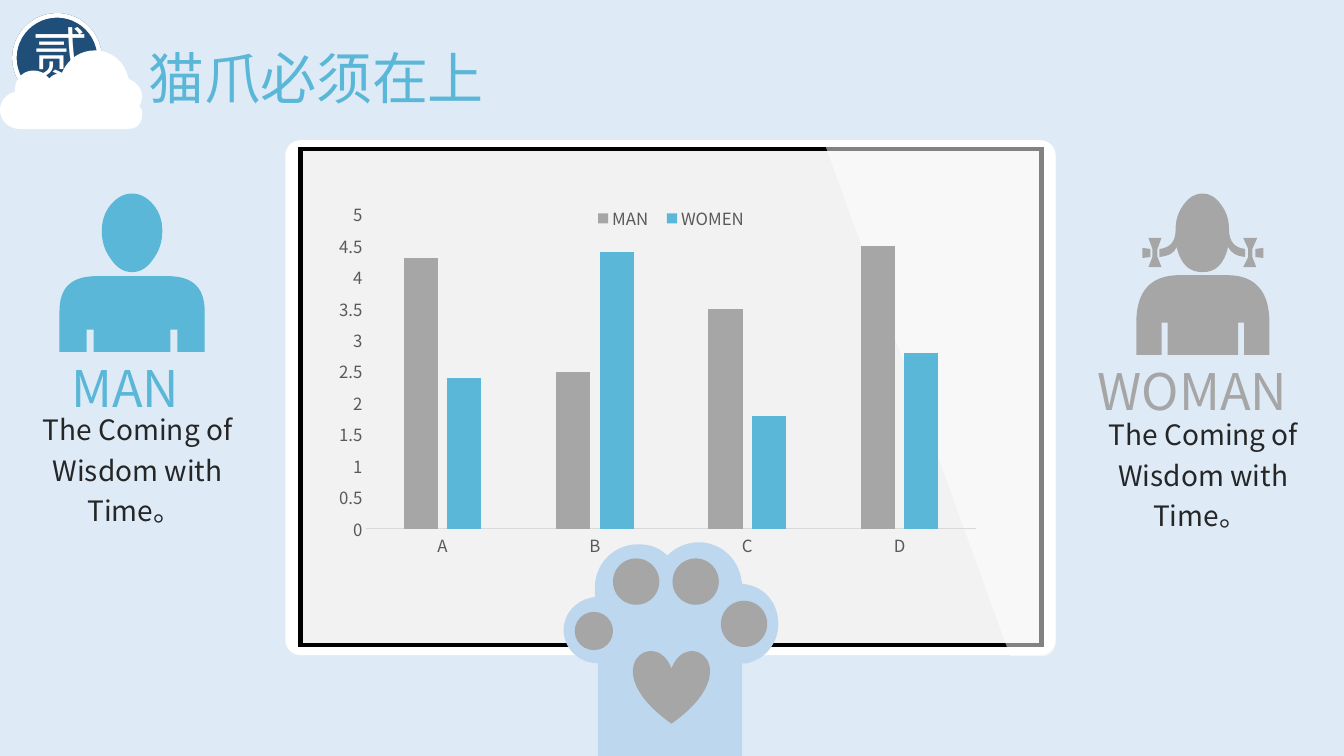
import lxml.etree
import pptx
import pptx.chart.data
import pptx.dml.color
import pptx.enum.chart
import pptx.enum.shapes
import pptx.enum.text
import pptx.oxml
import pptx.oxml.ns
import pptx.util

PX = 9144
FONT = "Noto Sans CJK SC"
COLORS = {
    "sky": "DEEBF7", "white": "FFFFFF", "black": "000000", "screen": "F2F2F2",
    "blue": "5BB7D7", "gray": "A6A6A6", "paw": "BDD7EE", "navy": "1F4E79",
    "text": "262626", "label": "595959", "axis": "D9D9D9",
}
SHAPE = pptx.enum.shapes.MSO_SHAPE
ALIGN = pptx.enum.text.PP_ALIGN
qn = pptx.oxml.ns.qn

GLARE = ["M 817 140 L 1035 140 C 1041 140 1047 146 1047 154 L 1047 637 "
         "C 1047 645 1041 651 1035 651 L 1002 651"]
PAW = ["M 693 538 C 714 538 731 553 735 573 L 736 579 L 741 580 "
       "C 759 583 772 599 772 619 C 772 638 759 654 741 658 L 736 658 L 736 750 "
       "L 593 750 L 593 658 C 574 658 559 643 559 625 C 559 609 571 596 586 593 "
       "L 591 592 L 590 592 C 590 589 590 586 590 583 C 590 559 609 540 633 540 "
       "C 642 540 650 542 657 547 L 662 551 C 670 543 681 538 693 538"]
MAN = ["M 96 274 L 166 274 C 191 274 203 285 203 309 L 203 349 L 176 349 L 176 327 "
       "L 169 327 L 169 349 L 93 349 L 93 327 L 86 327 L 86 349 L 59 349 L 59 309 "
       "C 59 285 71 274 96 274",
       "M 131 192 C 139 192 146 196 152 203 C 158 210 161 219 161 229 "
       "C 161 240 158 249 152 257 C 146 266 139 270 131 270 "
       "C 123 270 116 266 110 257 C 104 249 101 240 101 229 "
       "C 101 219 104 210 110 203 C 116 196 123 192 131 192"]
WOMAN = ["M 1170 273 L 1217 273 C 1245 273 1259 289 1259 320 L 1259 352 L 1234 352 "
         "L 1234 320 L 1228 320 L 1228 352 L 1158 352 L 1158 320 L 1152 320 "
         "L 1152 352 L 1127 352 L 1127 320 C 1127 289 1141 273 1170 273",
         "M 1253 246 L 1253 256 L 1245 255 L 1245 247",
         "M 1133 246 L 1141 247 L 1141 255 L 1133 256",
         "M 1233 236 L 1247 236 L 1242 247 L 1242 255 L 1246 265 L 1233 265 "
         "L 1238 255 L 1238 247",
         "M 1139 236 L 1152 236 L 1148 247 L 1148 255 L 1152 265 L 1139 265 "
         "L 1143 255 L 1143 247",
         "M 1193 192 C 1200 192 1206 196 1211 203 C 1217 211 1219 219 1219 228 "
         "C 1219 240 1225 246 1235 247 L 1235 255 C 1226 254 1221 251 1218 245 "
         "C 1214 262 1206 270 1193 270 C 1179 270 1171 262 1167 245 "
         "C 1165 251 1159 254 1150 255 L 1150 247 C 1160 246 1166 240 1166 228 "
         "C 1166 219 1168 211 1174 203 C 1179 196 1185 192 1193 192"]
CLOUD = ["M 94 50 C 110 50 124 61 127 77 L 129 79 C 136 82 141 88 141 96 "
         "C 141 99 140 102 139 104 L 138 105 L 139 106 C 141 108 141 111 141 114 "
         "C 141 120 138 125 133 127 L 127 128 L 20 128 C 9 128 0 120 0 109 "
         "C 0 101 5 95 12 92 L 15 91 L 15 88 C 15 78 23 70 33 70 "
         "C 39 70 44 72 48 77 L 49 78 C 51 75 55 73 59 73 L 61 74 L 62 71 "
         "C 68 58 80 50 94 50"]


def rgb(name):
    return pptx.dml.color.RGBColor.from_string(COLORS[name])


def paint(shape, color):
    shape.shadow.inherit = False
    shape.fill.solid()
    shape.fill.fore_color.rgb = rgb(color)
    shape.line.fill.background()
    return shape


def add_preset(slide, kind, box, color):
    return paint(slide.shapes.add_shape(kind, *(v * PX for v in box)), color)


def trace(outline):
    numbers = [int(word) * PX for word in outline.split() if word.isdigit()]
    return list(zip(numbers[::2], numbers[1::2]))


def bend(shape, outlines):
    corners = iter(list(shape._element.iter(qn("a:lnTo"))))
    for letter in "".join(outlines):
        if letter == "L":
            next(corners)
        elif letter == "C":
            first, second, third = (next(corners) for _ in range(3))
            first.tag = qn("a:cubicBezTo")
            for corner in (second, third):
                first.append(corner[0])
                corner.getparent().remove(corner)


def add_silhouette(slide, outlines, color):
    start, *others = [trace(outline) for outline in outlines]
    builder = slide.shapes.build_freeform(*start[0], scale=1.0)
    builder.add_line_segments(start[1:], close=True)
    for contour in others:
        builder.move_to(*contour[0])
        builder.add_line_segments(contour[1:], close=True)
    shape = paint(builder.convert_to_shape(), color)
    bend(shape, outlines)
    return shape


def set_opacity(shape, percent):
    color = shape.fill._xPr.find(qn("a:solidFill"))[0]
    lxml.etree.SubElement(color, qn("a:alpha"), val=str(percent * 1000))


def write(frame, text, size, color, align=ALIGN.LEFT):
    frame.text = text
    paragraph = frame.paragraphs[0]
    paragraph.alignment = align
    font = paragraph.runs[0].font
    font.size = pptx.util.Pt(size)
    font.name = FONT
    font.color.rgb = rgb(color)
    latin = font._element.find(qn("a:latin"))
    latin.addnext(latin.makeelement(qn("a:ea"), {"typeface": FONT}))
    return paragraph


def add_label(slide, box, text, size, color, align=ALIGN.LEFT, wrap=False):
    frame = slide.shapes.add_textbox(*(v * PX for v in box)).text_frame
    frame.word_wrap = wrap
    frame.auto_size = pptx.enum.text.MSO_AUTO_SIZE.SHAPE_TO_FIT_TEXT
    return write(frame, text, size, color, align)


def add_caption(slide, left, top):
    caption = add_label(slide, (left, top, 263, 91), "The Coming of Wisdom with Time。 ",
                        20, "text", ALIGN.CENTER, True)
    caption.line_spacing = 1.2


def set_title(slide, text):
    title = slide.shapes.title
    title.left, title.top, title.width, title.height = (v * PX for v in (137, 38, 357, 77))
    frame = title.text_frame
    frame.word_wrap = False
    frame.auto_size = pptx.enum.text.MSO_AUTO_SIZE.NONE
    frame.vertical_anchor = pptx.enum.text.MSO_ANCHOR.TOP
    write(frame, text, 40, "blue")


def place(part, index, inner, **fractions):
    for old in part.findall(qn("c:layout")):
        part.remove(old)
    layout = part.makeelement(qn("c:layout"))
    part.insert(index, layout)
    manual = lxml.etree.SubElement(layout, qn("c:manualLayout"))
    if inner:
        lxml.etree.SubElement(manual, qn("c:layoutTarget"), val="inner")
    for mode in ("xMode", "yMode"):
        lxml.etree.SubElement(manual, qn("c:" + mode), val="edge")
    for key, value in fractions.items():
        lxml.etree.SubElement(manual, qn("c:" + key), val=str(value))


def style_font(font):
    font.size = pptx.util.Pt(12)
    font.name = FONT
    font.color.rgb = rgb("label")


def add_comparison_chart(slide):
    data = pptx.chart.data.CategoryChartData()
    data.categories = ["A", "B", "C", "D"]
    data.add_series("MAN", (4.3, 2.5, 3.5, 4.5))
    data.add_series("WOMEN", (2.4, 4.4, 1.8, 2.8))
    chart = slide.shapes.add_chart(pptx.enum.chart.XL_CHART_TYPE.COLUMN_CLUSTERED,
                                   *(v * PX for v in (324, 192, 657, 411)), data).chart
    style_font(chart.font)
    chart.has_title = False
    chart.has_legend = True
    chart.legend.position = pptx.enum.chart.XL_LEGEND_POSITION.BOTTOM
    chart.legend.include_in_layout = False
    style_font(chart.legend.font)
    plot = chart.plots[0]
    plot.gap_width, plot.overlap, plot.vary_by_categories = 219, -27, False
    for series, color in zip(plot.series, ("gray", "blue")):
        series.format.fill.solid()
        series.format.fill.fore_color.rgb = rgb(color)
    for axis in (chart.category_axis, chart.value_axis):
        axis.has_major_gridlines = False
        axis.major_tick_mark = pptx.enum.chart.XL_TICK_MARK.NONE
        style_font(axis.tick_labels.font)
    chart.category_axis.format.line.color.rgb = rgb("axis")
    chart.category_axis.format.line.width = pptx.util.Pt(0.75)
    scale = chart.value_axis
    scale.minimum_scale, scale.maximum_scale, scale.major_unit = 0, 5, 0.5
    scale.format.line.fill.background()
    place(plot._element.getparent(), 0, True, x=0.06, y=0.05, w=0.92, h=0.76)
    place(chart.legend._element, 1, False, x=0.39, y=0.02, w=0.26, h=0.08)


def add_screen(slide):
    add_preset(slide, SHAPE.ROUNDED_RECTANGLE, (283, 139, 764, 511), "white").adjustments[0] = 0.03
    display = add_preset(slide, SHAPE.RECTANGLE, (298, 148, 735, 492), "screen")
    display.line.color.rgb = rgb("black")
    display.line.width = pptx.util.Pt(3.25)
    lxml.etree.SubElement(display.line._get_or_add_ln(), qn("a:miter"), lim="800000")
    set_opacity(add_silhouette(slide, GLARE, "white"), 51)


def add_paw(slide):
    add_silhouette(slide, PAW, "paw")
    for left, top, size in ((570, 607, 38), (608, 554, 46), (667, 554, 46), (715, 596, 46)):
        add_preset(slide, SHAPE.OVAL, (left, top, size, size), "gray")
    add_preset(slide, SHAPE.HEART, (628, 645, 76, 73), "gray")


def add_badge(slide):
    disc = (12, 13, 89, 89)
    add_preset(slide, SHAPE.OVAL, disc, "navy")
    add_preset(slide, SHAPE.DONUT, disc, "white").adjustments[0] = 0.05
    add_label(slide, (22, 13, 76, 77), "贰", 40, "white")
    add_silhouette(slide, CLOUD, "white")


def main():
    deck = pptx.Presentation()
    deck.slide_width, deck.slide_height = 1333 * PX, 750 * PX
    slide = deck.slides.add_slide(deck.slide_layouts[5])
    slide.background.fill.solid()
    slide.background.fill.fore_color.rgb = rgb("sky")
    set_title(slide, "猫爪必须在上")
    add_screen(slide)
    add_comparison_chart(slide)
    add_paw(slide)
    add_silhouette(slide, MAN, "blue")
    add_silhouette(slide, WOMAN, "gray")
    add_label(slide, (61, 349, 141, 71), "MAN", 36, "blue")
    add_label(slide, (1079, 352, 234, 71), "WOMAN", 36, "gray")
    add_caption(slide, 5, 398)
    add_caption(slide, 1062, 403)
    add_badge(slide)
    deck.save("out.pptx")


if __name__ == "__main__":
    main()
